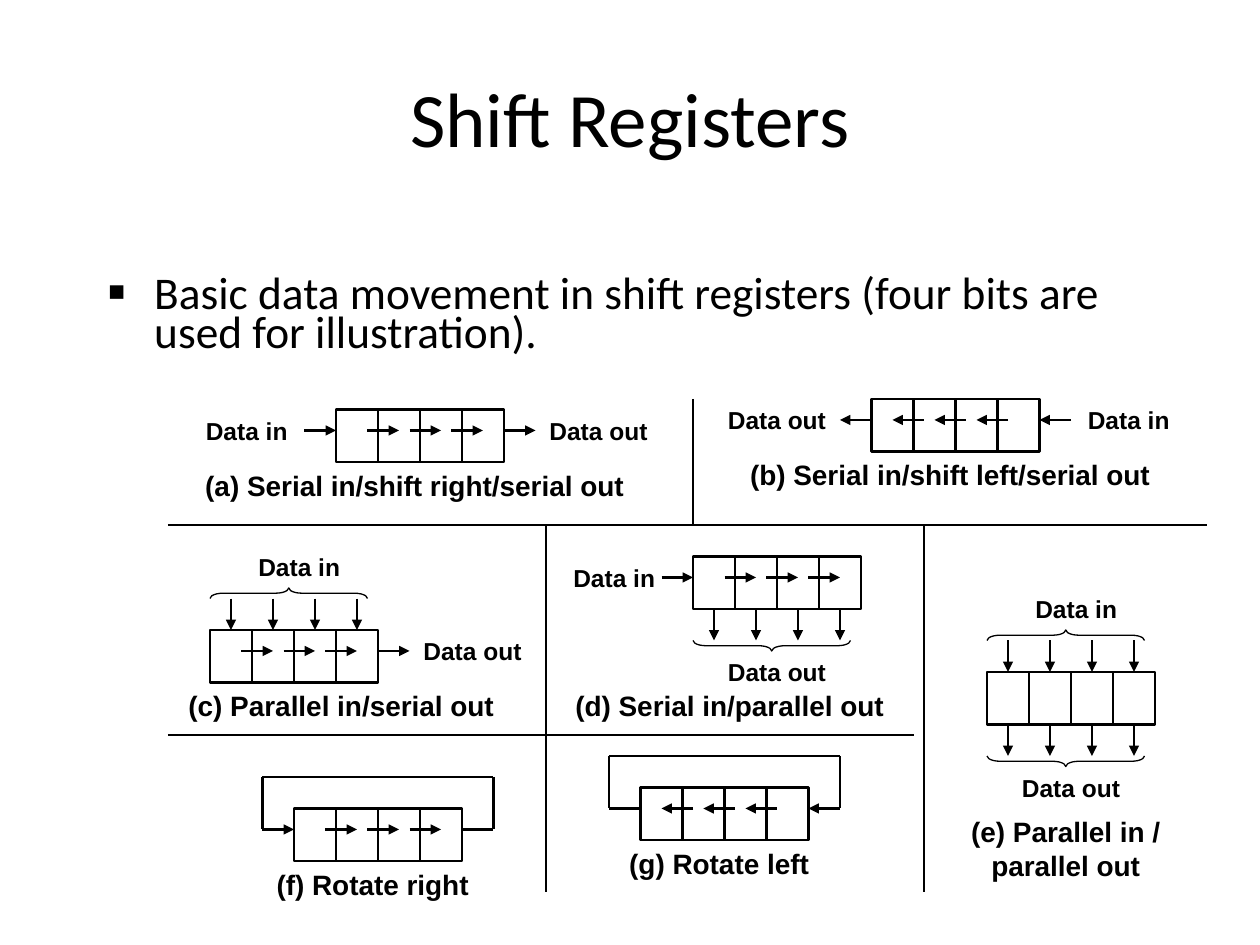
from lxml import etree
from pptx import Presentation
from pptx.dml.color import RGBColor
from pptx.enum import shapes, text
from pptx.oxml.ns import qn
from pptx.util import Cm, Pt

GRID = 2.54 / 12  # the drawing sits on a grid of twelve steps to the inch
CELL, CELLS, HEIGHT = 4, 4, 5
WIDTH = CELL * CELLS
LEAD = 3  # length of every arrow
BLACK = RGBColor.from_string("000000")


def add_line(parent, start, end, weight, arrow=False):
    """Draw a line between two grid points, with an optional head at its end."""
    line = parent.add_connector(
        shapes.MSO_CONNECTOR.STRAIGHT, *[Cm(v * GRID) for v in (*start, *end)])
    line.line.color.rgb = BLACK
    line.line.width = Pt(weight)
    properties = line._element.spPr
    if arrow:
        etree.SubElement(properties.find(qn("a:ln")), qn("a:tailEnd"), type="triangle")
    etree.SubElement(properties, qn("a:effectLst"))


def add_label(parent, words, x, y, width, height, size):
    box = parent.add_textbox(*[Cm(v * GRID) for v in (x, y, width, height)])
    frame = box.text_frame
    frame.word_wrap = True
    frame.auto_size = text.MSO_AUTO_SIZE.SHAPE_TO_FIT_TEXT
    paragraph = frame.paragraphs[0]
    paragraph.text = words
    paragraph.alignment = text.PP_ALIGN.CENTER
    paragraph.font.name = "Arial"
    paragraph.font.size = Pt(size)
    paragraph.font.bold = True
    paragraph.font.color.rgb = BLACK


deck = Presentation()
deck.slide_width, deck.slide_height = Cm(25.4), Cm(19.05)
slide = deck.slides.add_slide(deck.slide_layouts[5])

title = slide.shapes.title
title.left, title.top, title.width, title.height = Cm(1.27), Cm(0.76), Cm(22.86), Cm(3.18)
title.text_frame.text = "Shift Registers"
title.text_frame.vertical_anchor = text.MSO_ANCHOR.MIDDLE
heading = title.text_frame.paragraphs[0]
heading.alignment = text.PP_ALIGN.CENTER
heading.font.name = "Calibri"
heading.font.size = Pt(44)
heading.font.color.rgb = BLACK

intro = slide.shapes.add_textbox(Cm(1.91), Cm(5.51), Cm(21.39), Cm(1.93)).text_frame
intro.word_wrap = True
summary = intro.paragraphs[0]
summary.text = "Basic data movement in shift registers (four bits are used for illustration)."
summary.line_spacing = 0.7
indent = summary._p.get_or_add_pPr()
indent.set("marL", str(Cm(0.95)))
indent.set("indent", str(-Cm(0.95)))
etree.SubElement(indent, qn("a:buSzPct"), val="120000")
etree.SubElement(indent, qn("a:buFont"), typeface="Arial")
etree.SubElement(indent, qn("a:buChar"), char="▪")
summary.font.name = "Calibri"
summary.font.size = Pt(25.9)
summary.font.color.rgb = BLACK

# left, top, shift direction, ports, "Data in" at, "Data out" at,
# caption, caption left, top, width
registers = [
    (32, 39, "right", {"in", "out"}, (18, 39), (51, 39),
     "(a) Serial in/shift right/serial out", 18, 44, 43),
    (83, 38, "left", {"in", "out"}, (102, 38), (68, 38),
     "(b) Serial in/shift left/serial out", 69, 43, 43),
    (20, 60, "right", {"top", "out"}, (23, 52), (39, 60),
     "(c) Parallel in/serial out", 16, 65, 33),
    (66, 53, "right", {"in", "bottom"}, (53, 53), (68, 62),
     "(d) Serial in/parallel out", 53, 65, 33),
    (94, 64, None, {"top", "bottom"}, (97, 56), (96, 73),
     "(e) Parallel in / parallel out", 91, 77, 21),
    (28, 77, "right", {"in", "loop"}, None, None, "(f) Rotate right", 24, 82, 23),
    (61, 75, "left", {"in", "loop"}, None, None, "(g) Rotate left", 57, 80, 23),
]

for (left, top, shift, ports, data_in, data_out,
     caption, caption_x, caption_y, caption_width) in registers:
    group = slide.shapes.add_group_shape().shapes
    register = group.add_shape(
        shapes.MSO_SHAPE.RECTANGLE,
        *[Cm(v * GRID) for v in (left, top, WIDTH, HEIGHT)])
    register.shadow.inherit = False
    register.fill.background()
    register.line.color.rgb = BLACK
    register.line.width = Pt(1.5)
    for x in range(left + CELL, left + WIDTH, CELL):
        add_line(group, (x, top), (x, top + HEIGHT), 1.5)

    # Horizontal moves are measured along the shift: (from, to, arrowhead)
    moves = [(x, x + LEAD, True) for x in (3, 7, 11)] if shift else []
    if "in" in ports:
        moves.append((-LEAD, 0, True))
    if "out" in ports or "loop" in ports:
        moves.append((WIDTH, WIDTH + LEAD, "out" in ports))
    middle = top + 2
    for start, end, arrow in moves:
        if shift == "left":
            start, end = WIDTH - start, WIDTH - end
        add_line(group, (left + start, middle), (left + end, middle), 1.25, arrow)

    if "loop" in ports:
        near, far, over = left - LEAD, left + WIDTH + LEAD, top - 3
        add_line(group, (near, over), (far, over), 1.25)
        for x in (near, far):
            add_line(group, (x, over), (x, middle), 1.25)

    for port, arrow_top, brace_middle, turn in (
            ("top", top - LEAD, top - 3.5, 90),
            ("bottom", top + HEIGHT, top + 8.5, 270)):
        if port not in ports:
            continue
        for x in range(left + 2, left + WIDTH, CELL):
            add_line(group, (x, arrow_top), (x, arrow_top + LEAD), 1.25, True)
        brace = group.add_shape(
            shapes.MSO_SHAPE.LEFT_BRACE,
            *[Cm(v * GRID) for v in (left + 7, brace_middle - 7.5, 1, 15)])
        brace.rotation = turn
        brace.adjustments[0] = 1.25
        brace.shadow.inherit = False
        brace.fill.background()
        brace.line.color.rgb = BLACK
        brace.line.width = Pt(0.75)

    if data_in:
        add_label(group, "Data in", *data_in, 11, 4, 14)
        add_label(group, "Data out", *data_out, 12, 4, 14)
    caption_height = 7.7 if caption_width < 22 else 4.4
    add_label(group, caption, caption_x, caption_y, caption_width, caption_height, 16)

separators = [
    ((16, 50), (115, 50)),
    ((16, 70), (87, 70)),
    ((66, 38), (66, 50)),
    ((52, 50), (52, 85)),
    ((88, 50), (88, 85)),
]
for start, end in separators:
    add_line(slide.shapes, start, end, 0.75)

deck.save("out.pptx")
